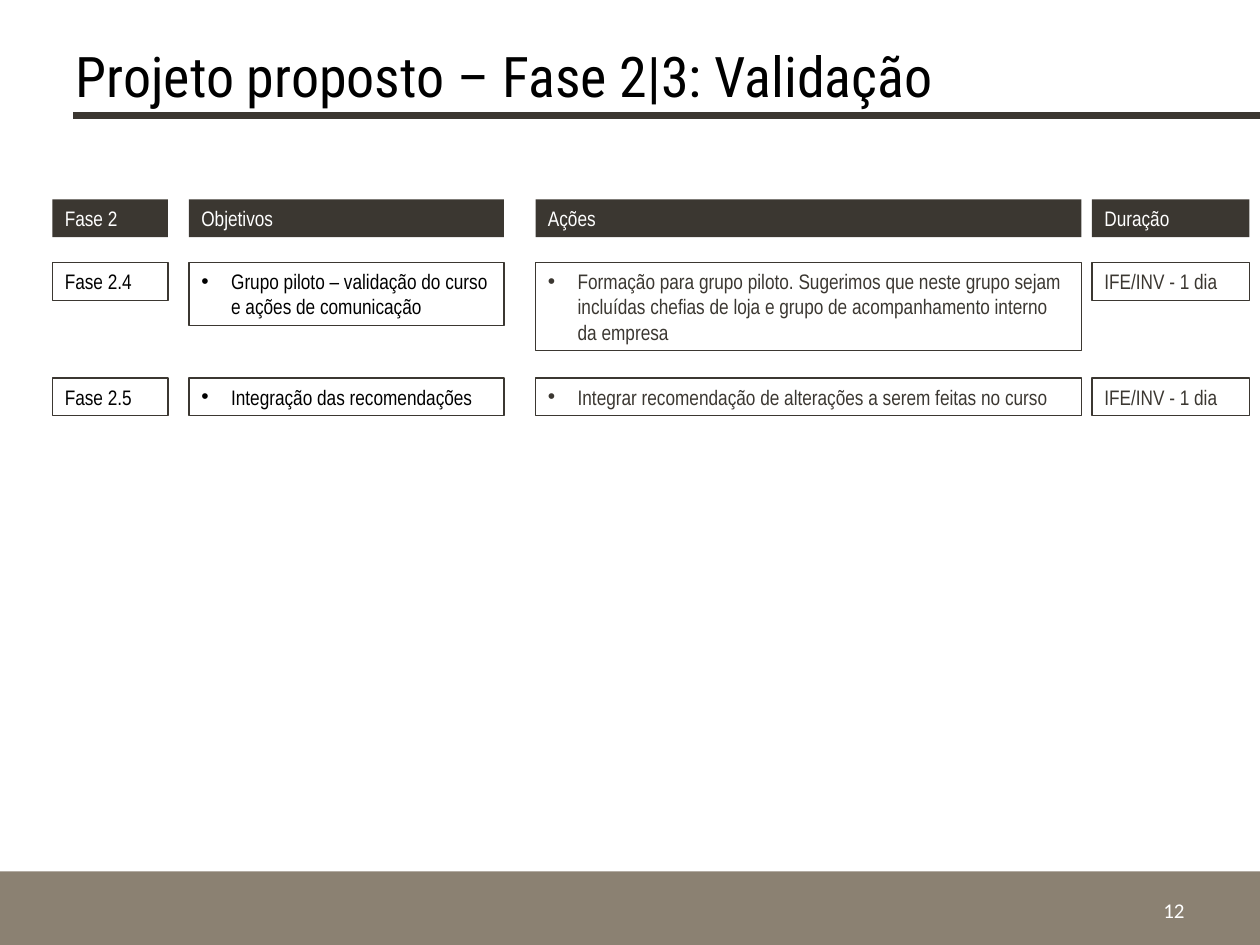
from lxml import etree
from pptx import Presentation
from pptx import util as u
from pptx.dml.color import RGBColor
from pptx.enum import shapes, text
from pptx.oxml import ns

DARK, TAUPE, BLACK, WHITE = "3B3731", "8B8172", "000000", "FFFFFF"
BODY_FONT = "Arial Narrow"
HEADER_TOP = 114
LINE_HEIGHT, BOX_PADDING = 14.4, 7.2

# heading, left, width, text colour, bulleted
COLUMNS = [
    ("Fase 2", 30, 66, BLACK, False),
    ("Objetivos", 108, 180, BLACK, True),
    ("Ações", 306, 312, DARK, True),
    ("Duração", 624, 90, DARK, False),
]
# top, then (text, number of lines) for each column
PHASES = [
    (150, [
        ("Fase 2.4", 1),
        ("Grupo piloto – validação do curso e ações de comunicação", 2),
        ("Formação para grupo piloto. Sugerimos que neste grupo sejam incluídas "
         "chefias de loja e grupo de acompanhamento interno da empresa", 3),
        ("IFE/INV - 1 dia", 1),
    ]),
    (216, [
        ("Fase 2.5", 1),
        ("Integração das recomendações", 1),
        ("Integrar recomendação de alterações a serem feitas no curso", 1),
        ("IFE/INV - 1 dia", 1),
    ]),
]


def color(hex_value):
    return RGBColor.from_string(hex_value)


def place(left, top, width, height):
    return [u.Pt(value) for value in (left, top, width, height)]


def add_bullet(paragraph, indent=17):
    properties = paragraph._p.get_or_add_pPr()
    properties.set("marL", str(u.Pt(indent)))
    properties.set("indent", str(-u.Pt(indent)))
    etree.SubElement(properties, ns.qn("a:buFont")).set("typeface", "Arial")
    etree.SubElement(properties, ns.qn("a:buChar")).set("char", "•")


def write(frame, wording, ink, size=12, font=BODY_FONT, anchor=text.MSO_ANCHOR.TOP,
          align=text.PP_ALIGN.LEFT, bulleted=False):
    frame_format = {
        "word_wrap": True, "auto_size": text.MSO_AUTO_SIZE.NONE, "vertical_anchor": anchor,
        "margin_left": u.Pt(7.2), "margin_right": u.Pt(7.2),
        "margin_top": u.Pt(3.6), "margin_bottom": u.Pt(3.6),
    }
    for name, value in frame_format.items():
        setattr(frame, name, value)
    paragraph = frame.paragraphs[0]
    paragraph.alignment = align
    if bulleted:
        add_bullet(paragraph)
    run = paragraph.add_run()
    run.text = wording
    for name, value in {"name": font, "size": u.Pt(size)}.items():
        setattr(run.font, name, value)
    run.font.color.rgb = color(ink)


def add_box(slide, area, fill=None, outline=None):
    box = slide.shapes.add_shape(shapes.MSO_SHAPE.RECTANGLE, *place(*area))
    box.shadow.inherit = False
    if fill:
        box.fill.solid()
        box.fill.fore_color.rgb = color(fill)
    else:
        box.fill.background()
    if outline:
        box.line.color.rgb = color(outline)
        box.line.width = u.Pt(0.75)
    else:
        box.line.fill.background()
    return box


def add_title(slide, wording):
    title = slide.shapes.title
    title.left, title.top, title.width, title.height = place(36, 18, 648, 50.4)
    write(title.text_frame, wording, BLACK, 32, "Roboto Condensed", text.MSO_ANCHOR.MIDDLE)
    start_x, start_y, end_x, end_y = place(42, 66, 720, 66)
    rule = slide.shapes.add_connector(shapes.MSO_CONNECTOR.STRAIGHT,
                                      start_x, start_y, end_x, end_y)
    rule.line.color.rgb = color(DARK)
    rule.line.width = u.Pt(3.75)
    etree.SubElement(rule._element.spPr, ns.qn("a:effectLst"))


def add_footer(slide, number):
    add_box(slide, (0, 498, 720, 42), fill=TAUPE)
    page = slide.shapes.add_textbox(*place(516, 505.5, 168, 28.8))
    write(page.text_frame, number, WHITE, font="Calibri",
          anchor=text.MSO_ANCHOR.MIDDLE, align=text.PP_ALIGN.RIGHT)


def add_phase_grid(slide):
    for heading, left, width, _, _ in COLUMNS:
        header = add_box(slide, (left, HEADER_TOP, width, LINE_HEIGHT + BOX_PADDING), fill=DARK)
        write(header.text_frame, heading, WHITE)
    for top, cells in PHASES:
        for (_, left, width, ink, bulleted), (wording, lines) in zip(COLUMNS, cells):
            height = lines * LINE_HEIGHT + BOX_PADDING
            cell = add_box(slide, (left, top, width, height), outline=DARK)
            write(cell.text_frame, wording, ink, bulleted=bulleted)


def main():
    deck = Presentation()
    deck.slide_width, deck.slide_height = u.Pt(720), u.Pt(540)
    slide = deck.slides.add_slide(deck.slide_layouts[5])
    add_title(slide, "Projeto proposto – Fase 2|3: Validação")
    add_phase_grid(slide)
    add_footer(slide, "12")
    deck.save("out.pptx")


if __name__ == "__main__":
    main()
